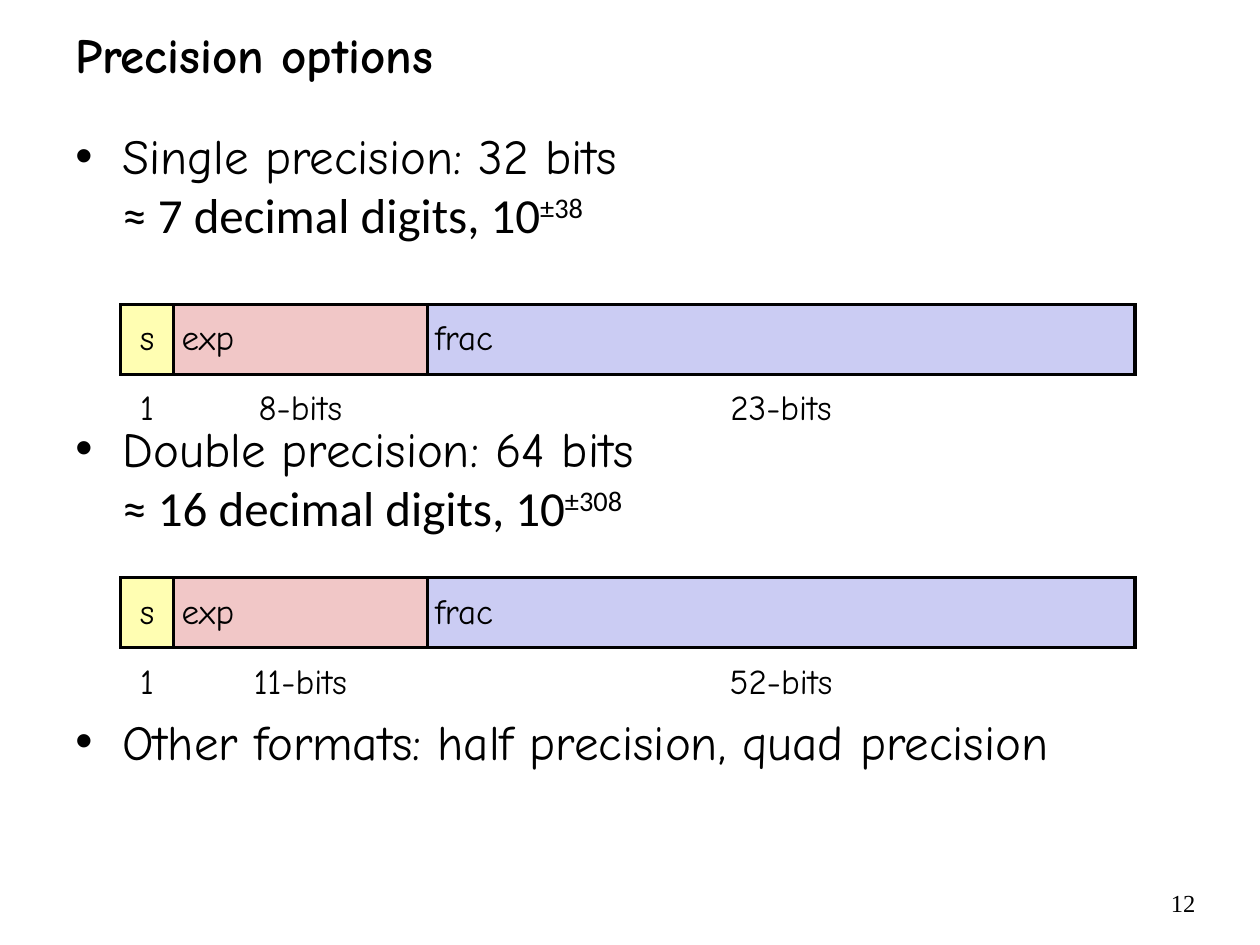
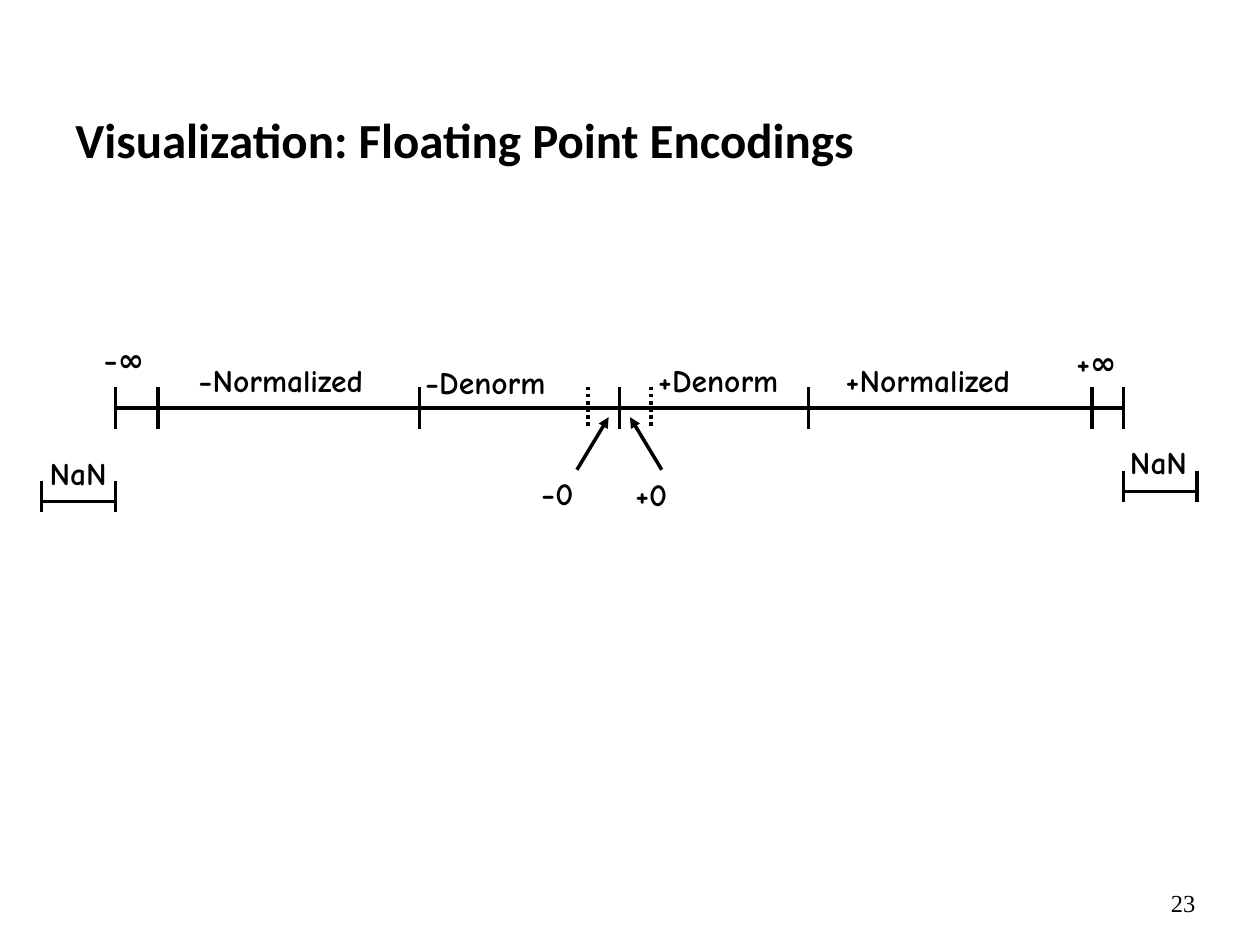
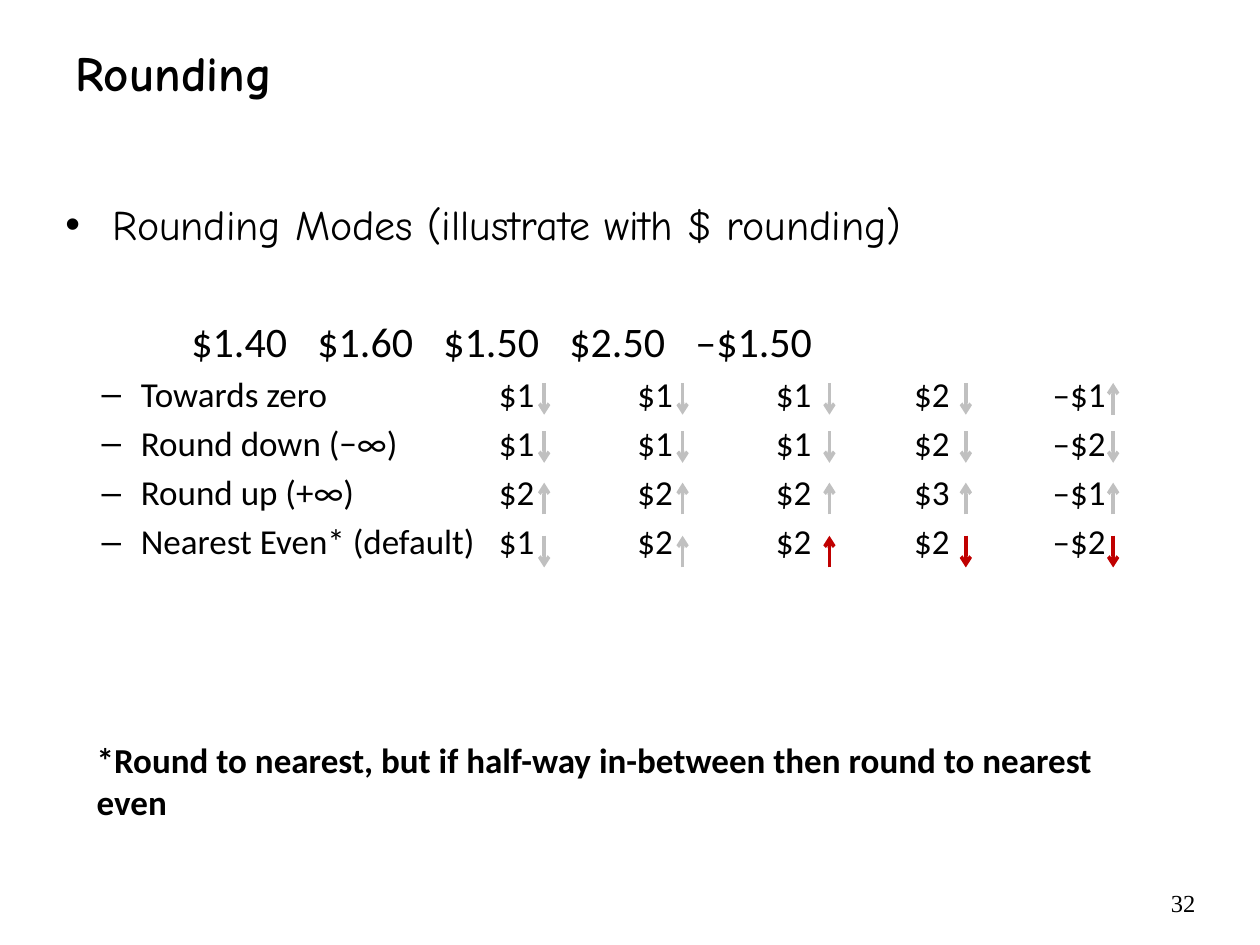
from lxml.etree import SubElement
from pptx import Presentation
from pptx.dml.color import RGBColor
from pptx.enum.dml import MSO_LINE
from pptx.enum.shapes import MSO_CONNECTOR
from pptx.enum.text import MSO_ANCHOR as Anchor, PP_ALIGN as Align
from pptx.oxml.ns import qn
from pptx.util import Cm, Pt

COMIC, SANS, SERIF = "Comic Neue", "Calibri", "Times New Roman"
BLACK, GREY, RED = "000000", "C0C0C0", "C00000"
YELLOW, PINK, LILAC = "FFFEB2", "F1C7C7", "CBCCF3"
PLAIN_TABLE_STYLE = "{2D5ABB26-0587-4C30-8999-92F81FD0307C}"
TITLE_SIZE = 28
PAGE_NUMBER_BOX = (20.74, 17.78, 3.61, 0.71)

PRECISIONS = [
    ("Single precision: 32 bits", "≈ 7 decimal digits, 10", "±38", 5.6),
    ("Double precision: 64 bits", "≈ 16 decimal digits, 10", "±308", 100),
    ("Other formats: half precision, quad precision", "", "", 100),
]
FIELDS = [("s", 1.07, YELLOW, Align.CENTER), ("exp", 5.11, PINK, Align.LEFT),
          ("frac", 14.27, LILAC, Align.LEFT)]
BIT_TABLES = [(6.14, ["1", "8-bits", "23-bits"]), (11.65, ["1", "11-bits", "52-bits"])]
FIELD_LEFT, FIELD_HEIGHT = 2.43, 1.41

AXIS_LEFT, AXIS_RIGHT, AXIS_Y = 2.33, 22.65, 8.23
TICKS = [AXIS_LEFT, 3.18, 8.46, 12.49, 16.3, 22.01, AXIS_RIGHT]
DOTTED_TICKS = [11.85, 13.12]
NAN_RANGES = [(0.84, AXIS_LEFT, 10.11), (AXIS_RIGHT, 24.13, 9.91)]
ZERO_ARROWS = [(11.63, 12.27), (13.34, 12.7)]
AXIS_LABELS = [
    ("−∞", 1.98, 6.74, 1.04), ("−Normalized", 3.89, 7.16, 3.84),
    ("−Denorm", 8.46, 7.21, 2.87), ("−0", 10.8, 9.45, 0.91),
    ("+0", 12.7, 9.47, 0.94), ("+Denorm", 13.16, 7.16, 2.87),
    ("+Normalized", 16.94, 7.16, 3.84), ("+∞", 21.59, 6.81, 1.04),
    ("NaN", 0.89, 9.04, 1.5), ("NaN", 22.67, 8.83, 1.5),
]

AMOUNTS = ["$1.40", "$1.60", "$1.50", "$2.50", "–$1.50"]
MODES = [
    ("Towards zero", ["$1", "$1", "$1", "$2", "–$1"], "vvvv^", 7.72),
    ("Round down (−∞)", ["$1", "$1", "$1", "$2", "–$2"], "vvvvv", 8.69),
    ("Round up (+∞)", ["$2", "$2", "$2", "$3", "–$1"], "^^^^^", 9.73),
    ("Nearest Even* (default)", ["$1", "$2", "$2", "$2", "–$2"], "v^^vv", 10.8),
]
HALFWAY_COLUMNS = (2, 3, 4)
ARROW_COLUMNS = [10.97, 13.76, 16.72, 19.47, 22.44]
ARROW_LENGTH = 0.64
MODE_TABS = [8.74 + 2.79 * step for step in range(5)]
FOOTNOTE = "*Round to nearest, but if half-way in-between then round to nearest even"


def color(value):
    return RGBColor.from_string(value)


def add_run(paragraph, text, size, font=COMIC, bold=False, raised=False):
    run = paragraph.add_run()
    run.text = text
    run.font.size, run.font.name, run.font.bold = Pt(size), font, bold
    run.font.color.rgb = color(BLACK)
    if raised:
        run.font._element.set("baseline", "30000")


def add_box(slide, left, top, width, height, anchor=Anchor.TOP, wrap=True, inset=None):
    box = slide.shapes.add_textbox(Cm(left), Cm(top), Cm(width), Cm(height))
    frame = box.text_frame
    frame.word_wrap, frame.vertical_anchor = wrap, anchor
    if inset is not None:
        frame.margin_left = frame.margin_right = Cm(inset)
        frame.margin_top = frame.margin_bottom = Cm(inset)
    return frame


def next_paragraph(frame):
    first = frame.paragraphs[0]
    return frame.add_paragraph() if first.runs else first


def format_paragraph(paragraph, before, margin=0, hanging=0, bullet="", tabs=()):
    paragraph.space_before = Pt(before)
    properties = paragraph._p.get_or_add_pPr()
    properties.set("marL", str(Cm(margin)))
    properties.set("indent", str(-Cm(hanging)))
    if bullet:
        SubElement(properties, qn("a:buFont"), typeface="Arial")
        SubElement(properties, qn("a:buChar"), char=bullet)
    if tabs:
        tab_list = SubElement(properties, qn("a:tabLst"))
        for position in tabs:
            SubElement(tab_list, qn("a:tab"), pos=str(Cm(position)), algn="l")


def add_line(slide, x1, y1, x2, y2, stroke=BLACK, arrow="", dotted=False):
    connector = slide.shapes.add_connector(
        MSO_CONNECTOR.STRAIGHT, Cm(x1), Cm(y1), Cm(x2), Cm(y2))
    line = connector.line
    line.color.rgb, line.width = color(stroke), Pt(2)
    if dotted:
        line.dash_style = MSO_LINE.ROUND_DOT
    if arrow:
        SubElement(line._get_or_add_ln(), qn("a:tailEnd"), type=arrow)
    SubElement(connector._element.spPr, qn("a:effectLst"))


def add_titled_slide(presentation, title, number, box, font=COMIC):
    slide = presentation.slides.add_slide(presentation.slide_layouts[6])
    frame = add_box(slide, *box, anchor=Anchor.MIDDLE)
    add_run(frame.paragraphs[0], title, TITLE_SIZE, font, bold=True)
    paragraph = add_box(slide, *PAGE_NUMBER_BOX).paragraphs[0]
    paragraph.alignment = Align.RIGHT
    add_run(paragraph, number, 14, SERIF)
    return slide


def add_borders(cell, visible):
    properties = cell._tc.get_or_add_tcPr()
    for side in "LRTB":
        line = SubElement(properties, qn(f"a:ln{side}"), w=str(Pt(2)))
        if side in visible:
            fill = SubElement(line, qn("a:solidFill"))
            SubElement(fill, qn("a:srgbClr"), val=BLACK)
        else:
            SubElement(line, qn("a:noFill"))


def fill_cell(cell, text, alignment, borders, background=None):
    cell.margin_left = cell.margin_right = Cm(0.16)
    cell.margin_top = cell.margin_bottom = Cm(0.16)
    cell.vertical_anchor = Anchor.MIDDLE
    paragraph = cell.text_frame.paragraphs[0]
    paragraph.alignment = alignment
    add_run(paragraph, text, 20)
    add_borders(cell, borders)
    if background:
        cell.fill.solid()
        cell.fill.fore_color.rgb = color(background)
    else:
        cell.fill.background()


def add_bit_table(slide, top, widths):
    total = sum(width for _, width, _, _ in FIELDS)
    table = slide.shapes.add_table(2, len(FIELDS), Cm(FIELD_LEFT), Cm(top),
                                   Cm(total), Cm(2 * FIELD_HEIGHT)).table
    table.first_row = table.horz_banding = False
    table._tbl.tblPr.find(qn("a:tableStyleId")).text = PLAIN_TABLE_STYLE
    for row in table.rows:
        row.height = Cm(FIELD_HEIGHT)
    for column, (name, width, background, alignment) in enumerate(FIELDS):
        table.columns[column].width = Cm(width)
        fill_cell(table.cell(0, column), name, alignment, "LRTB", background)
        fill_cell(table.cell(1, column), widths[column], Align.CENTER, "T")


def build_precision(presentation):
    slide = add_titled_slide(presentation, "Precision options", "12",
                             (1.27, 0.2, 23.06, 1.78))
    frame = add_box(slide, 1.27, 2.41, 23.06, 14.81)
    for heading, digits, exponent, before in PRECISIONS:
        paragraph = next_paragraph(frame)
        format_paragraph(paragraph, before, 0.95, 0.95, "•")
        add_run(paragraph, heading, 28)
        if digits:
            paragraph.add_line_break()
            add_run(paragraph, digits, 28, SANS)
            add_run(paragraph, exponent, 28, SANS, raised=True)
    for top, widths in BIT_TABLES:
        add_bit_table(slide, top, widths)


def build_encodings(presentation):
    slide = add_titled_slide(presentation, "Visualization: Floating Point Encodings",
                             "23", (1.27, 1.27, 22.45, 3.05), SANS)
    add_line(slide, AXIS_LEFT, AXIS_Y, AXIS_RIGHT, AXIS_Y)
    for x in TICKS + DOTTED_TICKS:
        add_line(slide, x, AXIS_Y - 0.43, x, AXIS_Y + 0.41, dotted=x in DOTTED_TICKS)
    for left, right, y in NAN_RANGES:
        add_line(slide, left, y, right, y)
        for x in (left, right):
            add_line(slide, x, y - 0.42, x, y + 0.21)
    for start, end in ZERO_ARROWS:
        add_line(slide, start, 9.47, end, 8.41, arrow="triangle")
    for text, left, top, width in AXIS_LABELS:
        frame = add_box(slide, left, top, width, 0.99, wrap=False, inset=0.11)
        add_run(frame.paragraphs[0], text, 18, bold=True)


def build_rounding(presentation):
    slide = add_titled_slide(presentation, "Rounding", "32", (1.27, 0.56, 23.06, 1.78))
    frame = add_box(slide, 1.07, 3.88, 22.86, 8.81)
    paragraph = next_paragraph(frame)
    format_paragraph(paragraph, 4.8, 0.95, 0.95, "•")
    add_run(paragraph, "Rounding Modes (illustrate with $ rounding)", 24)
    paragraph = next_paragraph(frame)
    format_paragraph(paragraph, 38, margin=2.54)
    add_run(paragraph, "\t".join(AMOUNTS), 24, SANS)
    for mode, results, directions, top in MODES:
        paragraph = next_paragraph(frame)
        paragraph.level = 1
        format_paragraph(paragraph, 4, 1.52, 0.79, "–", MODE_TABS)
        add_run(paragraph, "\t".join([mode] + results), 20, SANS)
        for column, (x, direction) in enumerate(zip(ARROW_COLUMNS, directions)):
            ends = (top, top + ARROW_LENGTH)
            start, end = ends if direction == "v" else ends[::-1]
            halfway = mode.startswith("Nearest") and column in HALFWAY_COLUMNS
            add_line(slide, x, start, x, end, RED if halfway else GREY, "arrow")
    note = add_box(slide, 1.7, 14.76, 22.02, 1.12)
    add_run(note.paragraphs[0], FOOTNOTE, 20, SANS, bold=True)


presentation = Presentation()
presentation.slide_width, presentation.slide_height = Cm(25.4), Cm(19.05)
build_precision(presentation)
build_encodings(presentation)
build_rounding(presentation)
presentation.save("out.pptx")
